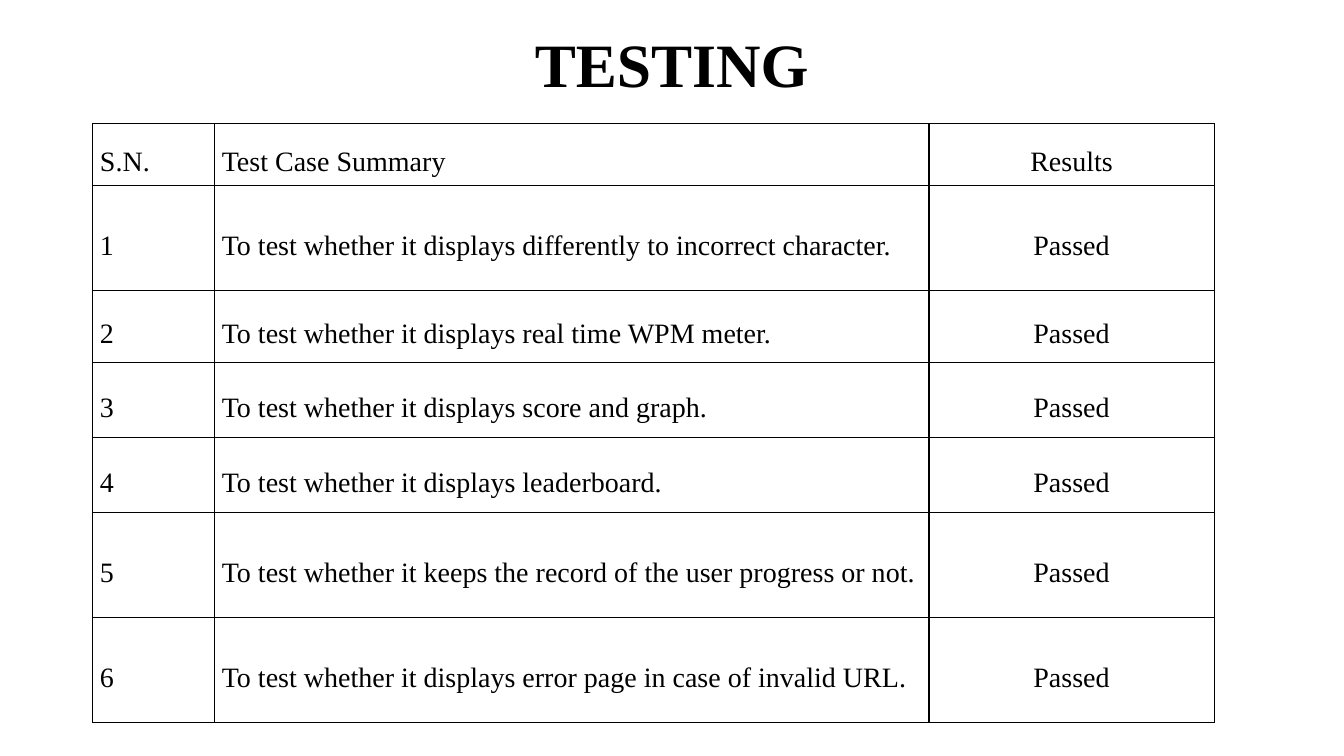
import pptx
import pptx.dml.color
import pptx.enum.text
import pptx.oxml
import pptx.oxml.ns
import pptx.util

Cm, Pt = pptx.util.Cm, pptx.util.Pt
RGB = pptx.dml.color.RGBColor.from_string
ALIGN = pptx.enum.text.PP_ALIGN
MIDDLE = pptx.enum.text.MSO_ANCHOR.MIDDLE

# Content
HEADING = "TESTING"
HEADERS = ("S.N.", "Test Case Summary", "Results")
RESULT = "Passed"
TEST_CASES = [  # summary, row height in cm
    ("To test whether it displays differently to incorrect character.", 2.65),
    ("To test whether it displays real time WPM meter.", 1.81),
    ("To test whether it displays score and graph.", 1.89),
    ("To test whether it displays leaderboard.", 1.89),
    ("To test whether it keeps the record of the user progress or not.", 2.65),
    ("To test whether it displays error page in case of invalid URL.", 2.65),
]

# Look and layout
THEME = {"font": "Times New Roman", "ink": "000000", "paper": "FFFFFF",
         "heading": 44, "body": 20, "border": 1}
HEADING_BOX = (2.33, -0.13, 29.21, 3.68)
TABLE_LEFT, TABLE_TOP, HEADER_HEIGHT = 2.33, 3.12, 1.55
COLUMNS = [(3.07, ALIGN.LEFT), (18.01, ALIGN.LEFT), (7.19, ALIGN.CENTER)]
CELL_FORMAT = {"vertical_anchor": MIDDLE, "margin_left": Cm(0.19),
               "margin_right": Cm(0.19), "margin_top": 0, "margin_bottom": 0}
FRAME_FORMAT = {"word_wrap": True, "vertical_anchor": MIDDLE}


def apply(target, values):
    for key, value in values.items():
        setattr(target, key, value)


def write(frame, text, size, bold=False, **paragraph_format):
    paragraph = frame.paragraphs[0]
    apply(paragraph, paragraph_format)
    run = paragraph.add_run()
    run.text = text
    apply(run.font, {"name": THEME["font"], "size": Pt(size), "bold": bold})
    run.font.color.rgb = RGB(THEME["ink"])


def add_borders(cell):
    properties = cell._tc.get_or_add_tcPr()
    for position, side in enumerate(("lnL", "lnR", "lnT", "lnB")):
        border = pptx.oxml.parse_xml(
            f'<a:{side} {pptx.oxml.ns.nsdecls("a")} w="{Pt(THEME["border"])}">'
            f'<a:solidFill><a:srgbClr val="{THEME["ink"]}"/></a:solidFill></a:{side}>')
        properties.insert(position, border)


def main():
    deck = pptx.Presentation()
    apply(deck, {"slide_width": Cm(33.87), "slide_height": Cm(19.05)})
    slide = deck.slides.add_slide(deck.slide_layouts[6])

    # Heading
    heading = slide.shapes.add_textbox(*map(Cm, HEADING_BOX)).text_frame
    apply(heading, FRAME_FORMAT)
    write(heading, HEADING, THEME["heading"], bold=True,
          alignment=ALIGN.CENTER, line_spacing=0.9)

    # Test results table
    rows = [HEADERS] + [(str(number), summary, RESULT)
                        for number, (summary, _) in enumerate(TEST_CASES, 1)]
    heights = [HEADER_HEIGHT] + [height for _, height in TEST_CASES]
    widths = [width for width, _ in COLUMNS]
    results = slide.shapes.add_table(
        len(rows), len(COLUMNS), Cm(TABLE_LEFT), Cm(TABLE_TOP),
        Cm(sum(widths)), Cm(sum(heights))).table
    apply(results, {"first_row": False, "horz_banding": False})
    for column, width in zip(results.columns, widths):
        column.width = Cm(width)
    for row, height, texts in zip(results.rows, heights, rows):
        row.height = Cm(height)
        for cell, text, (_, alignment) in zip(row.cells, texts, COLUMNS):
            apply(cell, CELL_FORMAT)
            cell.fill.solid()
            cell.fill.fore_color.rgb = RGB(THEME["paper"])
            add_borders(cell)
            write(cell.text_frame, text, THEME["body"], alignment=alignment,
                  line_spacing=1.5, space_after=Pt(8))

    deck.save("out.pptx")


if __name__ == "__main__":
    main()
